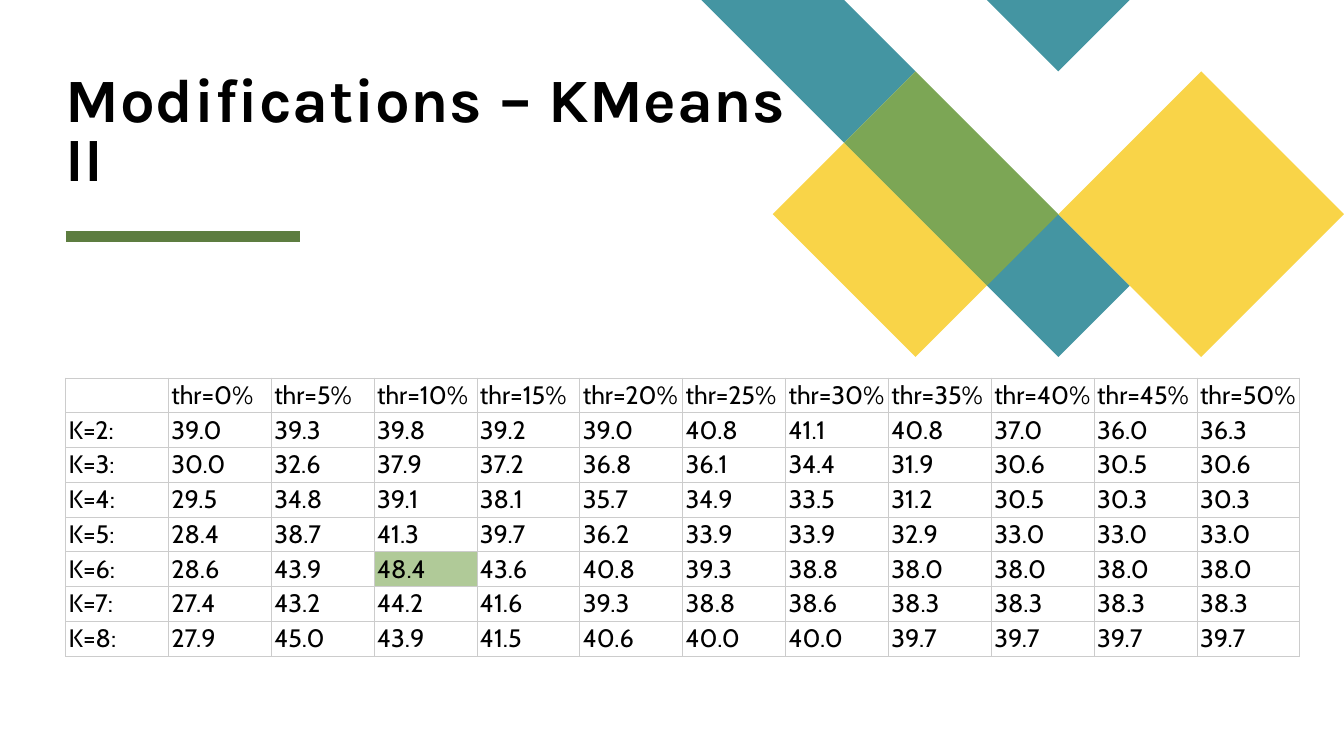
from lxml.etree import SubElement
from pptx import Presentation
from pptx.dml.color import RGBColor
from pptx.enum.shapes import MSO_CONNECTOR
from pptx.enum.text import MSO_ANCHOR, MSO_AUTO_SIZE, PP_ALIGN
from pptx.oxml.ns import qn
from pptx.util import Pt

BLACK = RGBColor(0x00, 0x00, 0x00)
TEAL = RGBColor(0x44, 0x95, 0xA2)
YELLOW = RGBColor(0xF9, 0xD4, 0x48)
GREEN = RGBColor(0x7C, 0xA6, 0x55)
DARK_GREEN = RGBColor(0x5D, 0x7D, 0x40)
HIGHLIGHT = RGBColor(0xB0, 0xCA, 0x98)
BORDER = RGBColor(0xCC, 0xCC, 0xCC)

LEFT = 46.8
TILE = 51          # step of the diamond grid
TILE_LEFT = 501    # its first column

# Outlines as (column, row) corners on the diamond grid
TILES = [
    (TEAL, [[(3, 1), (2, 0), (0, 0), (2, 2)], [(6, 4), (5, 3), (4, 4), (5, 5)]]),
    (YELLOW, [[(2, 2), (1, 3), (3, 5), (4, 4)]]),
    (TEAL, [[(6, 0), (4, 0), (5, 1)]]),
    (GREEN, [[(3, 1), (2, 2), (4, 4), (5, 3)]]),
    (YELLOW, [[(9, 3), (7, 1), (5, 3), (7, 5)]]),
]

# One row per K, one column per threshold
ACCURACY = {
    2: "39.0 39.3 39.8 39.2 39.0 40.8 41.1 40.8 37.0 36.0 36.3",
    3: "30.0 32.6 37.9 37.2 36.8 36.1 34.4 31.9 30.6 30.5 30.6",
    4: "29.5 34.8 39.1 38.1 35.7 34.9 33.5 31.2 30.5 30.3 30.3",
    5: "28.4 38.7 41.3 39.7 36.2 33.9 33.9 32.9 33.0 33.0 33.0",
    6: "28.6 43.9 48.4 43.6 40.8 39.3 38.8 38.0 38.0 38.0 38.0",
    7: "27.4 43.2 44.2 41.6 39.3 38.8 38.6 38.3 38.3 38.3 38.3",
    8: "27.9 45.0 43.9 41.5 40.6 40.0 40.0 39.7 39.7 39.7 39.7",
}
BEST = "48.4"


def set_font(p, name, size, bold=False):
    p.font.name = name
    p.font.size = Pt(size)
    p.font.bold = bold
    p.font.color.rgb = BLACK


def add_tile(s, color, outlines):
    outlines = [[(TILE_LEFT + TILE * col, TILE * row) for col, row in outline]
                for outline in outlines]
    builder = s.shapes.build_freeform(*outlines[0][0], scale=Pt(1))
    builder.add_line_segments(outlines[0][1:])
    for outline in outlines[1:]:
        builder.move_to(*outline[0])
        builder.add_line_segments(outline[1:])
    sp = builder.convert_to_shape()
    sp.shadow.inherit = False
    sp.fill.solid()
    sp.fill.fore_color.rgb = color
    sp.line.fill.background()


def add_rule(s, left, right, y):
    rule = s.shapes.add_connector(MSO_CONNECTOR.STRAIGHT, Pt(left), Pt(y), Pt(right), Pt(y))
    rule.line.color.rgb = DARK_GREEN
    rule.line.width = Pt(8)
    SubElement(rule._element.spPr, qn("a:effectLst"))


def format_title(s, text):
    sp = s.shapes.title
    s.shapes._spTree.append(sp._element)  # bring in front of the tiles
    sp.left, sp.top, sp.width, sp.height = Pt(LEFT), Pt(15.12), Pt(551.5), Pt(123.1)
    tf = sp.text_frame
    tf.text = text
    tf.word_wrap = True
    tf.auto_size = MSO_AUTO_SIZE.NONE
    tf.vertical_anchor = MSO_ANCHOR.BOTTOM
    tf.margin_left = tf.margin_right = tf.margin_top = tf.margin_bottom = 0
    p = tf.paragraphs[0]
    p.alignment = PP_ALIGN.LEFT
    p.line_spacing = 0.8
    set_font(p, "Karla", 44, bold=True)
    p.runs[0].font._element.set("spc", "50")


def add_borders(cell):
    tcPr = cell._tc.get_or_add_tcPr()
    for side in ("a:lnL", "a:lnR", "a:lnT", "a:lnB"):
        ln = SubElement(tcPr, qn(side), w=str(Pt(0.75)))
        fill = SubElement(ln, qn("a:solidFill"))
        SubElement(fill, qn("a:srgbClr"), val=str(BORDER))


def format_cell(cell, text):
    cell.text = text
    cell.vertical_anchor = MSO_ANCHOR.BOTTOM
    cell.margin_left = cell.margin_right = Pt(2.16)
    cell.margin_top = cell.margin_bottom = Pt(1.44)
    set_font(cell.text_frame.paragraphs[0], "Cabin", 18)
    add_borders(cell)
    if text == BEST:
        cell.fill.solid()
        cell.fill.fore_color.rgb = HIGHLIGHT
    else:
        cell.fill.background()


def add_results(s):
    rows = [[""] + [f"thr={percent}%" for percent in range(0, 55, 5)]]
    rows += [[f"K={k}:"] + values.split() for k, values in ACCURACY.items()]
    frame = s.shapes.add_table(len(rows), len(rows[0]), Pt(LEFT), Pt(270),
                               Pt(882), Pt(24 * len(rows)))
    table = frame.table
    table.first_row = table.horz_banding = False
    for i, row in enumerate(rows):
        for j, text in enumerate(row):
            format_cell(table.cell(i, j), text)


def main():
    prs = Presentation()
    prs.slide_width, prs.slide_height = Pt(960), Pt(540)
    s = prs.slides.add_slide(prs.slide_layouts[5])

    # Diamond pattern
    for color, outlines in TILES:
        add_tile(s, color, outlines)

    # Heading
    add_rule(s, LEFT, 214.56, 169.2)
    format_title(s, "Modifications – KMeans II")

    # Results by K and threshold
    add_results(s)
    prs.save("out.pptx")


if __name__ == "__main__":
    main()
